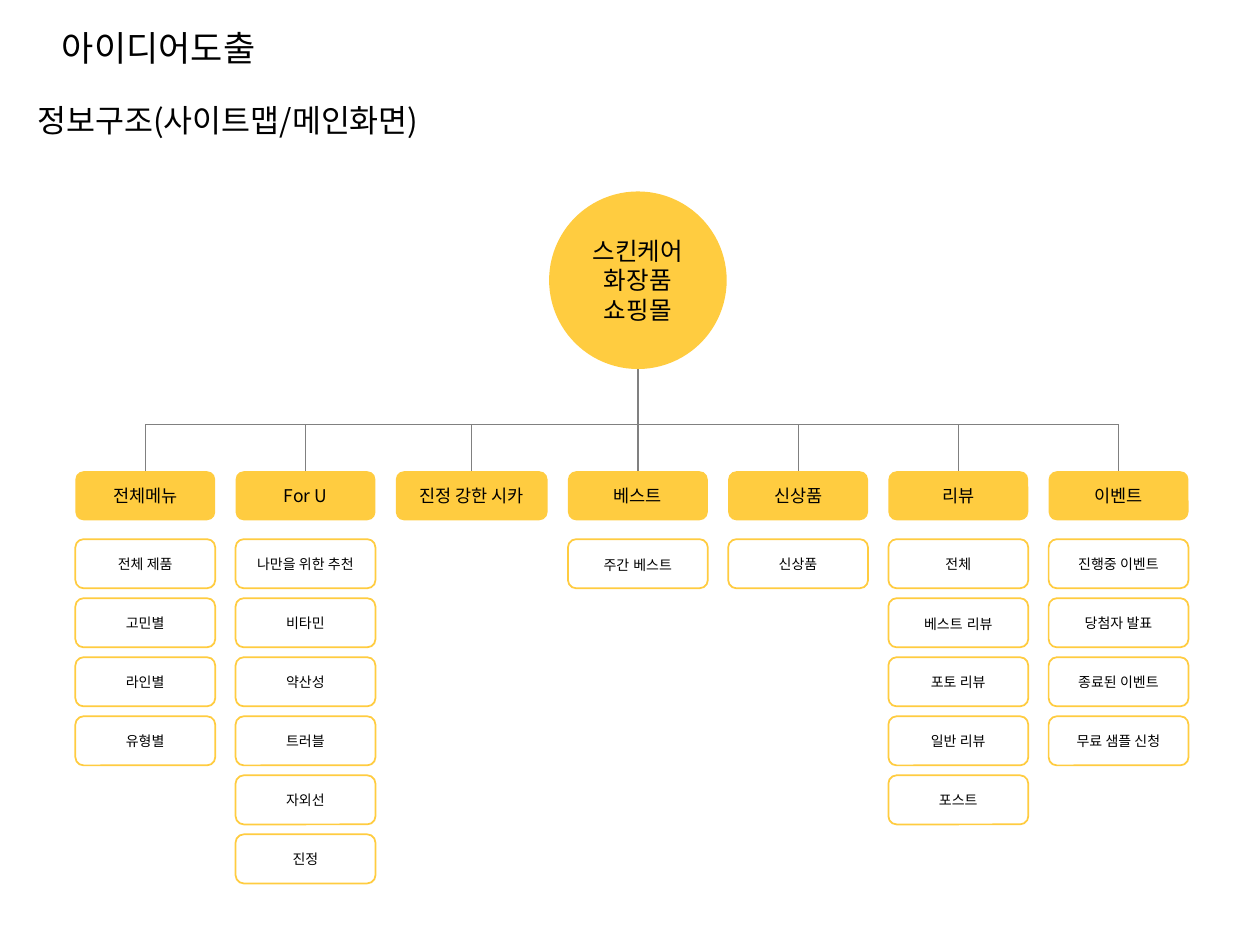
"""Build a site map slide: a root circle, seven menus and their pages."""
from dataclasses import dataclass

from lxml.etree import SubElement
from pptx import Presentation
from pptx.dml.color import RGBColor
from pptx.enum.shapes import MSO_CONNECTOR as CONN, MSO_SHAPE as SHAPE
from pptx.enum.text import MSO_ANCHOR as ANCHOR, PP_ALIGN as ALIGN
from pptx.oxml.ns import qn
from pptx.util import Cm, Pt

FONT = "Noto Sans CJK KR"
YELLOW, GRAY, BLACK = "FFCC40", "808080", "000000"
LEFT, GAP, BOX_W, BOX_H = 1.52, 0.41, 2.82, 0.99
MENU_Y, PAGE_Y, PAGE_STEP = 9.5, 10.87, 1.19
BUS_Y, DROP_END, TRUNK_Y, TRUNK_END = 8.56, 9.75, 6.93, 8.64
ROOT_Y, ROOT_SIZE = 3.86, 3.58
WIDE_SPACE = ("주간 베스트", "베스트 리뷰")


@dataclass
class Menu:
    name: str
    pages: tuple[str, ...] = ()
    width: float = BOX_W


MENUS = [
    Menu("전체메뉴", ("전체 제품", "고민별", "라인별", "유형별")),
    Menu("For U", ("나만을 위한 추천", "비타민", "약산성", "트러블", "자외선", "진정")),
    Menu("진정 강한 시카", width=3.06),
    Menu("베스트", ("주간 베스트",)),
    Menu("신상품", ("신상품",)),
    Menu("리뷰", ("전체", "베스트 리뷰", "포토 리뷰", "일반 리뷰", "포스트")),
    Menu("이벤트", ("진행중 이벤트", "당첨자 발표", "종료된 이벤트", "무료 샘플 신청")),
]
ROOT_MENU = 3


def rgb(value: str) -> RGBColor:
    return RGBColor.from_string(value)


def style_run(r, size: float) -> None:
    r.font.size, r.font.name = Pt(size), FONT
    r.font.color.rgb = rgb(BLACK)
    SubElement(r.font._element, qn("a:ea")).set("typeface", FONT)


def add_heading(s, text: str, x: float, y: float, w: float, h: float, size: float) -> None:
    tf = s.shapes.add_textbox(Cm(x), Cm(y), Cm(w), Cm(h)).text_frame
    tf.word_wrap = True
    tf.text = text
    style_run(tf.paragraphs[0].runs[0], size)


def add_node(s, kind: SHAPE, text: str, x: float, y: float, w: float, h: float,
             size: float, filled: bool = True) -> None:
    sp = s.shapes.add_shape(kind, Cm(x), Cm(y), Cm(w), Cm(h))
    sp.shadow.inherit = False
    if filled:
        sp.fill.solid()
        sp.fill.fore_color.rgb = rgb(YELLOW)
        sp.line.fill.background()
    else:
        sp.fill.background()
        sp.line.color.rgb = rgb(YELLOW)
        sp.line.width = Pt(1)
    tf = sp.text_frame
    tf.vertical_anchor = ANCHOR.MIDDLE
    p = tf.paragraphs[0]
    p.alignment = ALIGN.CENTER
    for part in text.partition(" ") if text in WIDE_SPACE else (text,):
        r = p.add_run()
        r.text = part
        style_run(r, 10 if part == " " else size)


def add_line(s, x1: float, y1: float, x2: float, y2: float) -> None:
    ln = s.shapes.add_connector(CONN.STRAIGHT, Cm(x1), Cm(y1), Cm(x2), Cm(y2))
    ln.line.color.rgb = rgb(GRAY)
    ln.line.width = Pt(0.75)
    SubElement(ln._element.spPr, qn("a:effectLst"))


def add_menu(s, menu: Menu, x: float) -> None:
    add_node(s, SHAPE.ROUNDED_RECTANGLE, menu.name, x, MENU_Y, menu.width, BOX_H, 10)
    for i, page in enumerate(menu.pages):
        add_node(s, SHAPE.ROUNDED_RECTANGLE, page, x, PAGE_Y + i * PAGE_STEP,
                 menu.width, BOX_H, 8, filled=False)


def main() -> None:
    prs = Presentation()
    prs.slide_width, prs.slide_height = Cm(25.4), Cm(19.05)
    s = prs.slides.add_slide(prs.slide_layouts[6])
    add_heading(s, "아이디어도출", 1, 0.4, 4.78, 1.11, 20)
    add_heading(s, "정보구조(사이트맵/메인화면)", 0.5, 1.92, 8.86, 1.03, 18)

    lefts = [LEFT + sum(m.width + GAP for m in MENUS[:i]) for i in range(len(MENUS))]
    centers = [x + m.width / 2 for x, m in zip(lefts, MENUS)]
    root_x = centers[ROOT_MENU]

    add_line(s, centers[0], BUS_Y, centers[-1], BUS_Y)
    for x in centers:
        add_line(s, x, BUS_Y, x, DROP_END)
    add_line(s, root_x, TRUNK_Y, root_x, TRUNK_END)
    add_node(s, SHAPE.OVAL, "스킨케어 화장품 쇼핑몰", root_x - ROOT_SIZE / 2, ROOT_Y,
             ROOT_SIZE, ROOT_SIZE, 14)
    for menu, x in zip(MENUS, lefts):
        add_menu(s, menu, x)
    prs.save("out.pptx")


if __name__ == "__main__":
    main()
